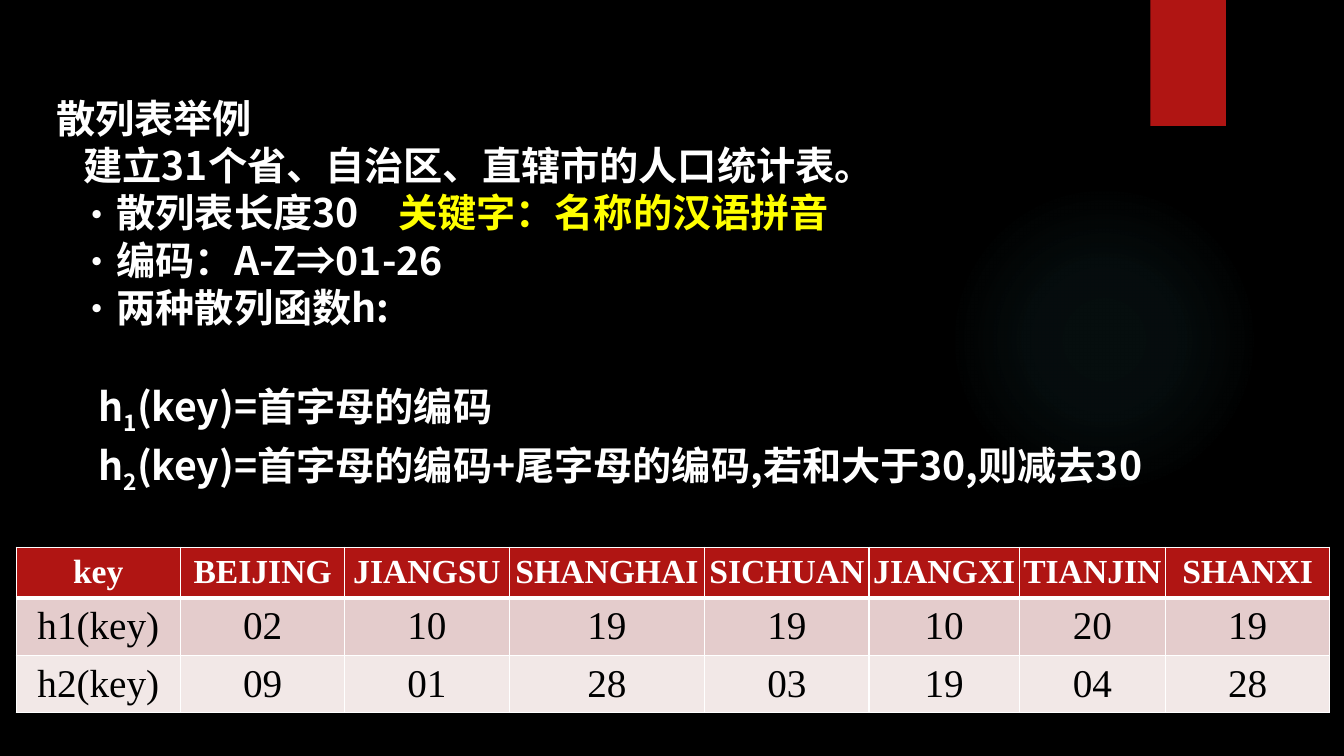
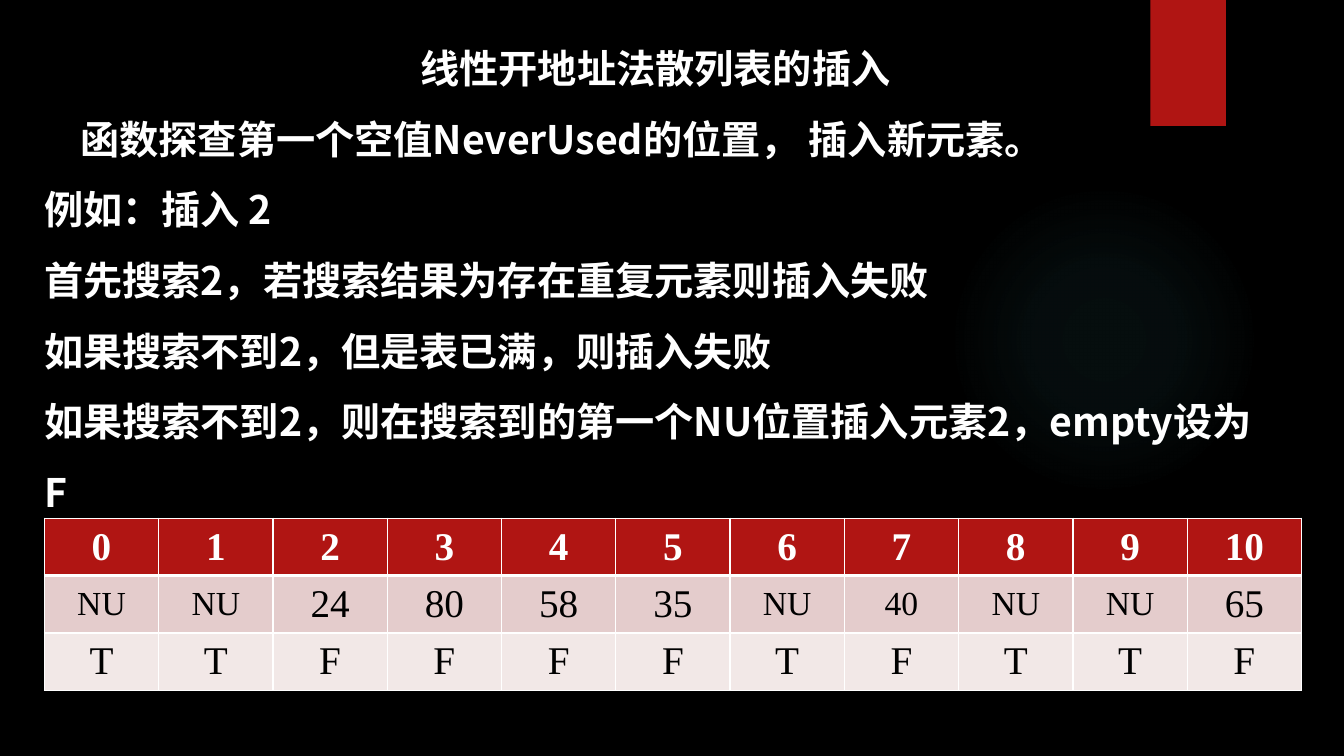
from dataclasses import dataclass

from lxml.etree import SubElement as Sub
from pptx import Presentation
from pptx.dml.color import RGBColor as Rgb
from pptx.enum.shapes import MSO_SHAPE as Form
from pptx.enum.text import MSO_ANCHOR as Anchor, PP_ALIGN as Align
from pptx.oxml import parse_xml
from pptx.oxml.ns import nsdecls, qn
from pptx.util import Inches, Pt


@dataclass(frozen=True)
class Theme:
    back: str = "000000"
    text: str = "FFFFFF"
    mark: str = "FFFF00"
    red: str = "B01513"
    glow: str = "50B9C1"
    ink: str = "000000"
    bands: tuple = ("E4CCCC", "F2E8E7")
    sans: str = "Noto Sans CJK SC"
    serif: str = "Times New Roman"
    big: int = 28
    small: int = 24


class Deck:
    def __init__(self, theme):
        self.theme = theme
        self.prs = Presentation()
        self.prs.slide_width = Inches(13.33)
        self.prs.slide_height = Inches(7.5)
        self.slide = None

    def start(self):
        """Open a slide with the shared backdrop."""
        self.slide = self.prs.slides.add_slide(self.prs.slide_layouts[6])
        fill = self.slide.background.fill
        fill.solid()
        fill.fore_color.rgb = Rgb.from_string(self.theme.back)
        self.halo()
        flag = self.shape(Form.RECTANGLE, 11.41, 0, 0.75, 1.25)
        flag.fill.solid()
        flag.fill.fore_color.rgb = Rgb.from_string(self.theme.red)

    def shape(self, form, *at):
        item = self.slide.shapes.add_shape(form, *map(Inches, at))
        item.shadow.inherit = False
        item.line.fill.background()
        return item

    def halo(self):
        disc = self.shape(Form.OVAL, 9.41, 1.83, 3.08, 3.08)
        disc.fill.background()
        stops = "".join(
            f'<a:gs pos="{pos * 1000}"><a:srgbClr val="{self.theme.glow}">'
            f'<a:alpha val="{alpha * 1000}"/></a:srgbClr></a:gs>'
            for pos, alpha in ((0, 7), (36, 6), (69, 0)))
        grad = parse_xml(
            f'<a:gradFill {nsdecls("a")}><a:gsLst>{stops}</a:gsLst>'
            '<a:path path="circle"><a:fillToRect l="50000" t="50000" '
            'r="50000" b="50000"/></a:path></a:gradFill>')
        props = disc.fill._xPr
        props.replace(props.find(qn("a:noFill")), grad)

    def run(self, para, text, color, size, font, bold=True, base=0):
        run = para.add_run()
        run.text = text
        run.font.size = Pt(size)
        run.font.bold = bold
        run.font.color.rgb = Rgb.from_string(color)
        run.font.name = font
        props = run.font._element
        Sub(props, qn("a:ea")).set("typeface", font)
        if base:
            props.set("baseline", str(base * 1000))

    def box(self, *at):
        frame = self.slide.shapes.add_textbox(*map(Inches, at)).text_frame
        frame.word_wrap = True
        return frame

    def para(self, frame, *parts, line=1.0, align=Align.LEFT, left=0,
             first=0, dot=False, tab=0, before=0):
        """Each part is a text, or a text with its colour and baseline."""
        para = frame.paragraphs[0]
        if para.runs:
            para = frame.add_paragraph()
        props = para._p.get_or_add_pPr()
        props.set("marL", str(Inches(left)))
        props.set("indent", str(Inches(first)))
        if dot:
            Sub(props, qn("a:buFont")).set("typeface", self.theme.sans)
            Sub(props, qn("a:buChar")).set("char", "·")
        if tab:
            stop = Sub(Sub(props, qn("a:tabLst")), qn("a:tab"))
            stop.set("pos", str(Inches(tab)))
            stop.set("algn", "l")
        para.alignment = align
        para.line_spacing = line
        para.space_before = Pt(before)
        para.space_after = Pt(0)
        for part in parts:
            text, color, base = (part, self.theme.text, 0) \
                if isinstance(part, str) else part
            self.run(para, text, color, self.theme.big, self.theme.sans,
                     base=base)

    def edges(self, cell, last):
        props = cell._tc.get_or_add_tcPr()
        for side in ("L", "R", "T", "B"):
            width = last if side == "B" else 1
            props.append(parse_xml(
                f'<a:ln{side} {nsdecls("a")} w="{Pt(width)}"><a:solidFill>'
                f'<a:srgbClr val="{self.theme.text}"/></a:solidFill>'
                f'</a:ln{side}>'))

    def table(self, left, top, cols, rows, data, size, pad=0.1):
        """The first row is the head; size(row, text) gives the type size."""
        theme = self.theme
        grid = self.slide.shapes.add_table(
            len(rows), len(cols), Inches(left), Inches(top),
            Inches(sum(cols)), Inches(sum(rows))).table
        for col, width in zip(grid.columns, cols):
            col.width = Inches(width)
        for row, height in zip(grid.rows, rows):
            row.height = Inches(height)
        for r, line in enumerate(data):
            head = r == 0
            for c, text in enumerate(line):
                cell = grid.cell(r, c)
                self.edges(cell, 3 if head else 1)
                cell.fill.solid()
                cell.fill.fore_color.rgb = Rgb.from_string(
                    theme.red if head else theme.bands[r - 1])
                cell.margin_left = cell.margin_right = Inches(pad)
                cell.vertical_anchor = Anchor.MIDDLE
                para = cell.text_frame.paragraphs[0]
                para.alignment = Align.CENTER
                self.run(para, text, theme.text if head else theme.ink,
                         size(r, text), theme.serif, bold=head)


def hash_slide(deck):
    theme = deck.theme
    deck.start()

    # Explanation
    body = deck.box(0.46, 0.82, 12.22, 4.4)
    deck.para(body, "散列表举例", line=1.15)
    deck.para(body, "建立31个省、自治区、直辖市的人口统计表。", left=0.27)
    item = dict(left=0.42, first=-0.21, dot=True)
    deck.para(body, "散列表长度30\t", ("关键字：名称的汉语拼音", theme.mark, 0),
              tab=3.39, **item)
    for text in ("编码：A-Z⇒01-26", "两种散列函数h:"):
        deck.para(body, text, **item)

    # Hash functions
    rules = ("首字母的编码", "首字母的编码+尾字母的编码,若和大于30,则减去30")
    for num, rule in enumerate(rules, 1):
        deck.para(body, "h", (str(num), theme.text, -25), f"(key)={rule}",
                  left=0.42, line=1.1, before=33.6 if num == 1 else 0)

    # Hash values
    data = (
        ("key", "BEIJING", "JIANGSU", "SHANGHAI", "SICHUAN", "JIANGXI",
         "TIANJIN", "SHANXI"),
        ("h1(key)", "02", "10", "19", "19", "10", "20", "19"),
        ("h2(key)", "09", "01", "28", "03", "19", "04", "28"))
    deck.table(0.16, 5.43, (1.63, 1.63, 1.63, 1.94, 1.63, 1.49, 1.45, 1.63),
               (0.5, 0.57, 0.57), data,
               lambda r, text: theme.big if r else theme.small, pad=0)


def insert_slide(deck):
    theme = deck.theme
    deck.start()

    # Steps
    body = deck.box(0.34, 0.16, 12.32, 4.9)
    deck.para(body, "线性开地址法散列表的插入", line=1.5, align=Align.CENTER)
    deck.para(body, "函数探查第一个空值NeverUsed的位置， 插入新元素。",
              line=1.5, left=0.36)
    for text in ("例如：插入 2",
                 "首先搜索2，若搜索结果为存在重复元素则插入失败",
                 "如果搜索不到2，但是表已满，则插入失败",
                 "如果搜索不到2，则在搜索到的第一个NU位置插入元素2，empty设为F"):
        deck.para(body, text, line=1.5)

    # Slots: index, value, empty flag
    slots = ("NU", "NU", "24", "80", "58", "35", "NU", "40", "NU", "NU", "65")
    data = ([str(n) for n in range(len(slots))], slots,
            ["T" if slot == "NU" else "F" for slot in slots])
    deck.table(0.44, 5.14, [12.47 / len(slots)] * len(slots), [0.57] * 3, data,
               lambda r, text: theme.small if r == 1 and text in ("NU", "40")
               else theme.big)


def main():
    deck = Deck(Theme())
    hash_slide(deck)
    insert_slide(deck)
    deck.prs.save("out.pptx")


if __name__ == "__main__":
    main()
